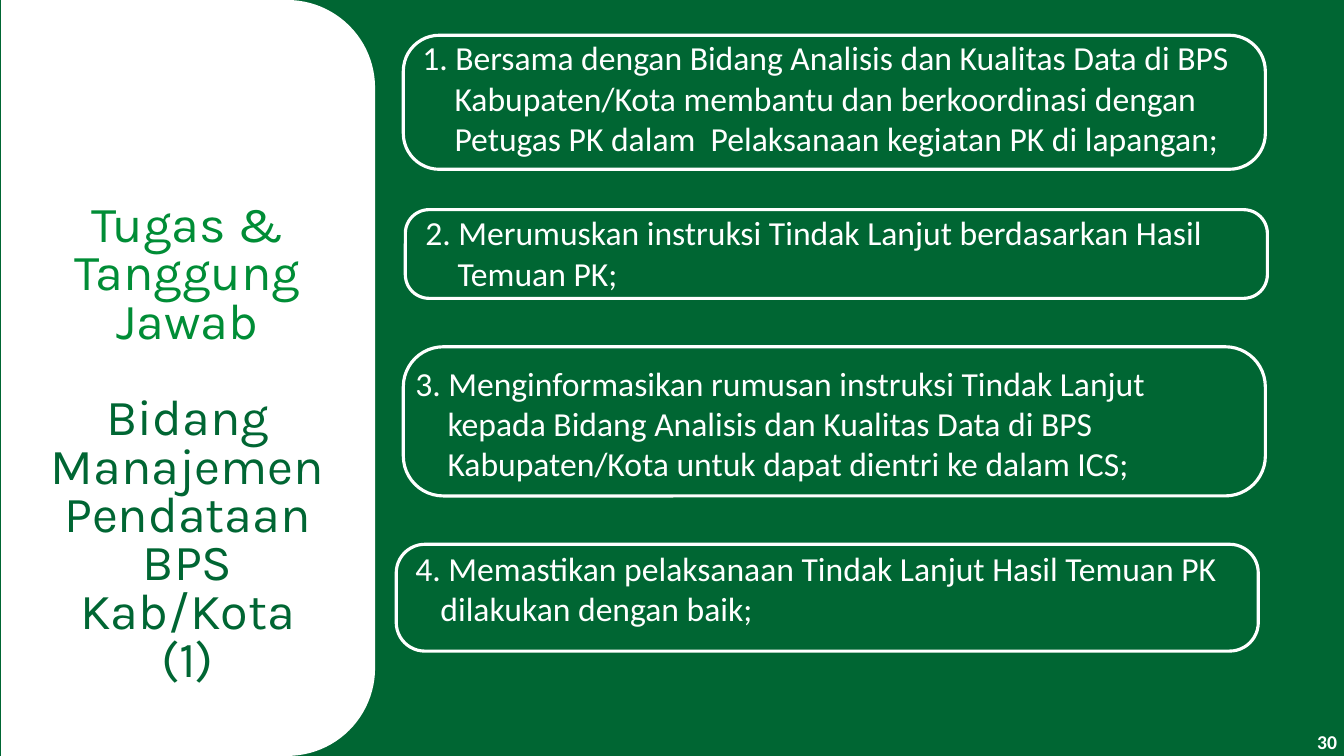
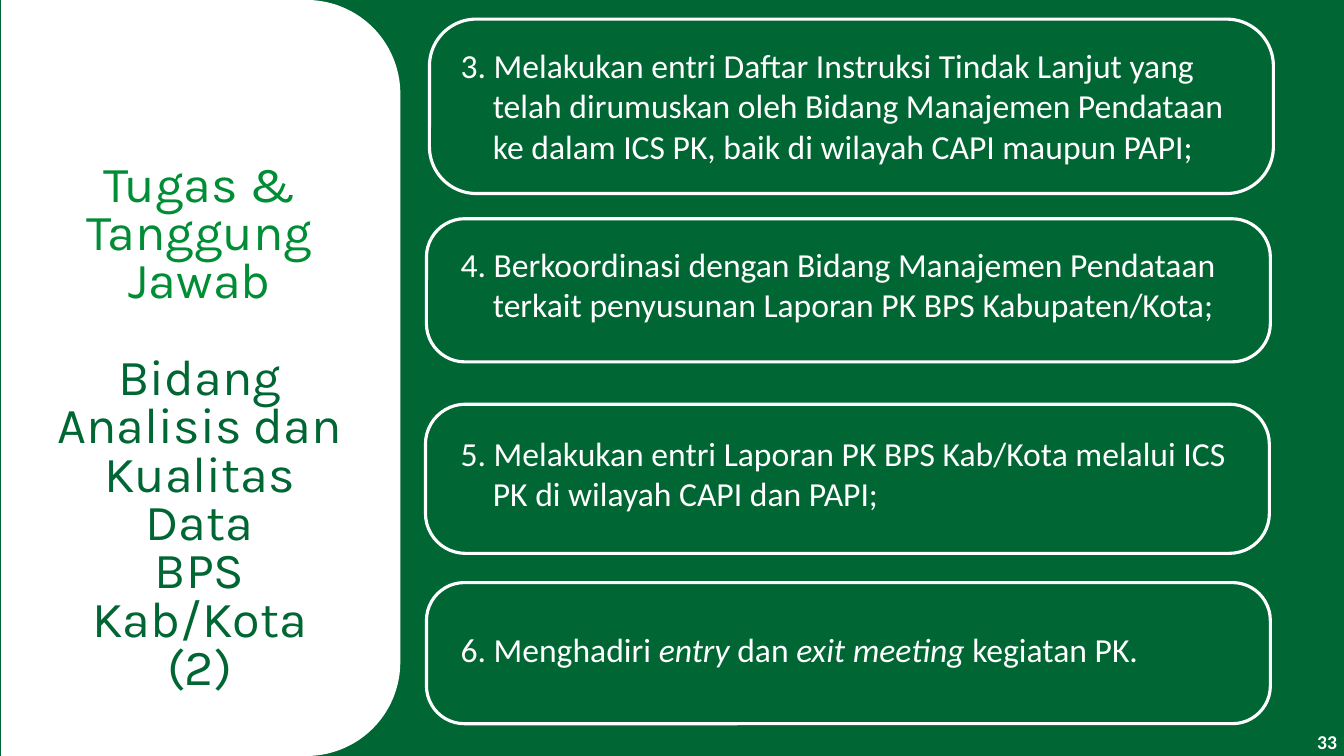
from pptx import Presentation
from pptx.dml.color import RGBColor
from pptx.enum.shapes import MSO_SHAPE
from pptx.enum.text import MSO_ANCHOR, PP_ALIGN
from pptx.util import Inches, Pt

PANEL = MSO_SHAPE.ROUND_2_SAME_RECTANGLE
FRAME = MSO_SHAPE.ROUNDED_RECTANGLE
MIDDLE = MSO_ANCHOR.MIDDLE
CENTER, LEFT, RIGHT = PP_ALIGN.CENTER, PP_ALIGN.LEFT, PP_ALIGN.RIGHT

GREEN, BRIGHT_GREEN, WHITE = "006633", "008D36", "FFFFFF"
BODY_FONT, TITLE_FONT = "Calibri", "Karla"
SLIDE_W, SLIDE_H = 13.33, 7.5
TITLE_H = 4.8
TITLE_GAP = 34.5  # one title line, in points


def rgb(value):
    return RGBColor.from_string(value)


def add_text(slide, box, paragraphs, font, size, align=LEFT, bold=False):
    """Each paragraph is (colour, [(text, italic), ...])."""
    frame = slide.shapes.add_textbox(*map(Inches, box)).text_frame
    frame.word_wrap = True
    frame.vertical_anchor = MIDDLE
    for number, (colour, runs) in enumerate(paragraphs):
        paragraph = frame.paragraphs[0] if number == 0 else frame.add_paragraph()
        paragraph.alignment = align
        for text, italic in runs:
            run = paragraph.add_run()
            run.text = text
            run.font.name = font
            run.font.size = Pt(size)
            run.font.bold = bold
            run.font.italic = italic
            run.font.color.rgb = rgb(colour)
    return frame.paragraphs


# Each duty: frame box, text box, (left margin, hanging indent), runs
SLIDES = [
    {
        "number": "30",
        "panel_width": 3.71,
        "title_left": 0.22, "title_width": 3.28, "title_middle": 4.42,
        "field": "Bidang Manajemen Pendataan",
        "part": "(1)",
        "duties": [
            ((4, 0.35, 8.55, 1.33), (4.09, 0.31, 8.46, 1.32), (0.32, 0.32),
             [("1. Bersama dengan Bidang Analisis dan Kualitas Data di BPS "
               "Kabupaten/Kota membantu dan berkoordinasi dengan Petugas PK "
               "dalam  Pelaksanaan kegiatan PK di lapangan;", False)]),
            ((4.02, 2.08, 8.55, 0.88), (4.12, 1.98, 8.29, 1.05), (0.32, 0.32),
             [("2. Merumuskan instruksi Tindak Lanjut berdasarkan Hasil "
               "Temuan PK;", False)]),
            ((4, 3.44, 8.55, 1.48), (3.9, 3.67, 8.55, 1.05), (0.44, 0.32),
             [("3. Menginformasikan rumusan instruksi Tindak Lanjut kepada "
               "Bidang Analisis dan Kualitas Data di BPS Kabupaten/Kota "
               "untuk dapat dientri ke dalam ICS;", False)]),
            ((3.93, 5.4, 8.55, 1.06), (4.02, 5.31, 8.85, 1.05), (0.25, 0.25),
             [("4. Memastikan pelaksanaan Tindak Lanjut Hasil Temuan PK "
               "dilakukan dengan baik;", False)]),
        ],
    },
    {
        "number": "33",
        "panel_width": 3.96,
        "title_left": 0.35, "title_width": 3.26, "title_middle": 4.26,
        "field": "Bidang Analisis dan Kualitas Data",
        "part": "(2)",
        "duties": [
            ((4.26, 0.19, 8.37, 1.73), (4.47, 0.52, 7.9, 1.05), (0.32, 0.32),
             [("3. Melakukan entri Daftar Instruksi Tindak Lanjut yang telah "
               "dirumuskan oleh Bidang Manajemen Pendataan ke dalam ICS PK, "
               "baik di wilayah CAPI maupun PAPI;", False)]),
            ((4.23, 2.17, 8.37, 1.42), (4.47, 2.29, 7.75, 1.05), (0.32, 0.32),
             [("4. Berkoordinasi dengan Bidang Manajemen Pendataan terkait "
               "penyusunan Laporan PK BPS Kabupaten/Kota;", False)]),
            ((4.22, 4.01, 8.37, 1.48), (4.47, 4.17, 8.12, 1.05), (0.32, 0.32),
             [("5. Melakukan entri Laporan PK BPS Kab/Kota melalui ICS PK di "
               "wilayah CAPI dan PAPI;", False)]),
            ((4.23, 5.78, 8.37, 1.4), (4.47, 5.91, 7.9, 1.05), (0, 0),
             [("6. Menghadiri ", False), ("entry ", True), ("dan ", False),
              ("exit meeting ", True), ("kegiatan PK.", False)]),
        ],
    },
]

prs = Presentation()
prs.slide_width, prs.slide_height = Inches(SLIDE_W), Inches(SLIDE_H)
blank = prs.slide_layouts[6]

for content in SLIDES:
    slide = prs.slides.add_slide(blank)
    slide.background.fill.solid()
    slide.background.fill.fore_color.rgb = rgb(GREEN)

    # Page number
    add_text(slide, (12.88, 7.16, 0.48, 0.4),
             [(WHITE, [(content["number"], False)])],
             BODY_FONT, 14, RIGHT, bold=True)

    # White title panel, turned so that its round corners face right
    width = content["panel_width"]
    offset = (SLIDE_H - width) / 2
    panel = slide.shapes.add_shape(PANEL, Inches(0.01 - offset), Inches(offset),
                                   Inches(SLIDE_H), Inches(width))
    panel.rotation = 90
    panel.adjustments[0] = 0.235
    panel.adjustments[1] = 0
    panel.shadow.inherit = False
    panel.fill.solid()
    panel.fill.fore_color.rgb = rgb(WHITE)
    panel.line.fill.background()

    # Title
    title_lines = [(BRIGHT_GREEN, "Tugas & Tanggung Jawab"),
                   (GREEN, content["field"]),
                   (GREEN, "BPS Kab/Kota"),
                   (GREEN, content["part"])]
    title = add_text(slide,
                     (content["title_left"], content["title_middle"] - TITLE_H / 2,
                      content["title_width"], TITLE_H),
                     [(colour, [(text, False)]) for colour, text in title_lines],
                     TITLE_FONT, 36, CENTER)
    for paragraph in title:
        paragraph.line_spacing = 0.8
    title[1].space_before = Pt(TITLE_GAP)

    # Framed duties
    for frame_box, text_box, (margin, hanging), runs in content["duties"]:
        outline = slide.shapes.add_shape(FRAME, *map(Inches, frame_box))
        outline.adjustments[0] = 0.268
        outline.shadow.inherit = False
        outline.fill.background()
        outline.line.color.rgb = rgb(WHITE)
        outline.line.width = Pt(2.25)

        duty = add_text(slide, text_box, [(WHITE, runs)], BODY_FONT, 24)[0]
        properties = duty._p.get_or_add_pPr()
        properties.set("marL", str(Inches(margin)))
        properties.set("indent", str(-Inches(hanging)))

prs.save("out.pptx")
